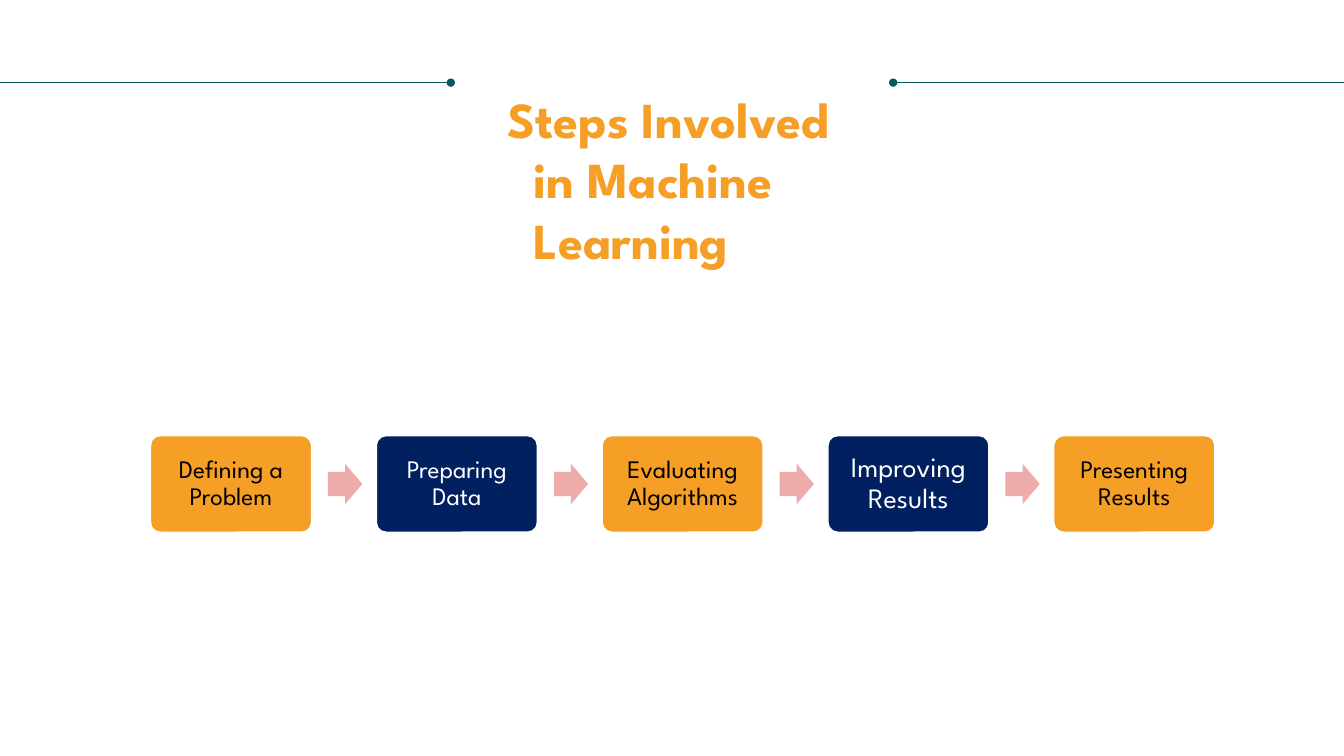
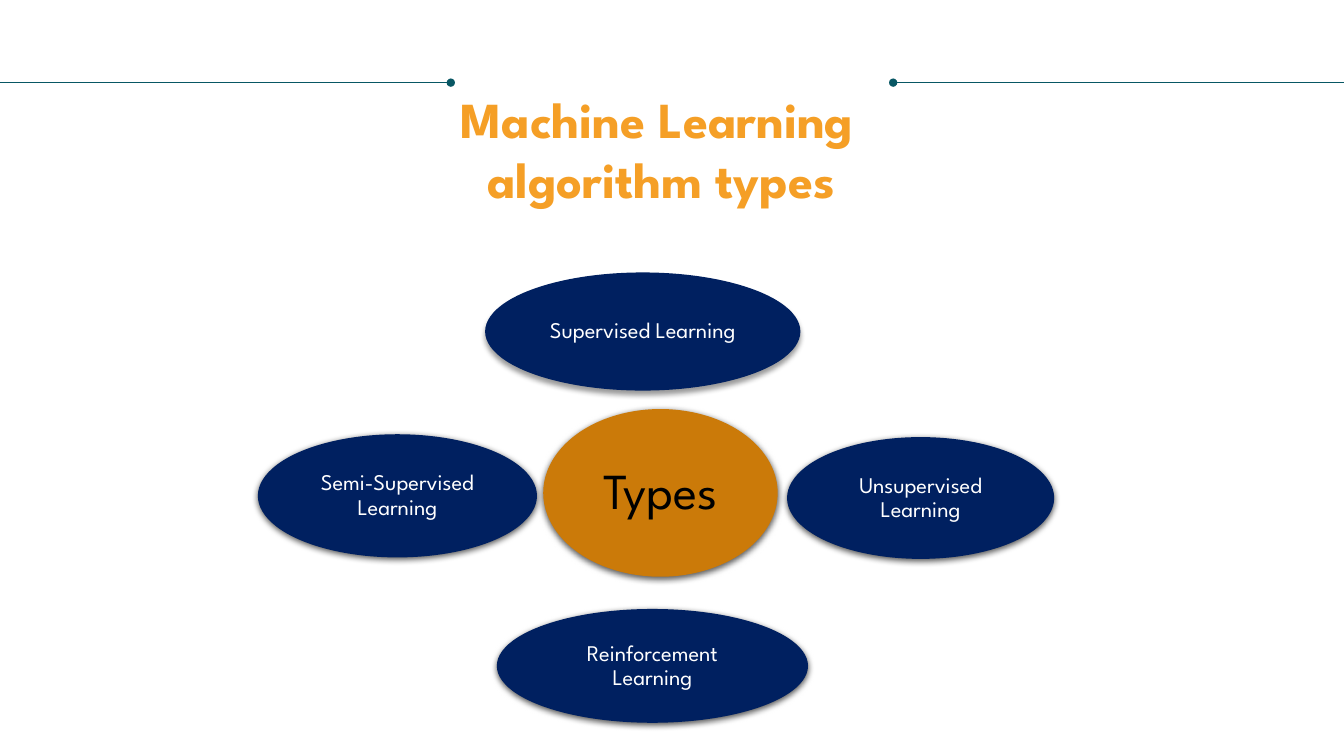
from typing import NamedTuple

from lxml import etree
from pptx import Presentation
from pptx.dml.color import RGBColor
from pptx.enum.shapes import MSO_CONNECTOR, MSO_SHAPE
from pptx.enum.text import MSO_ANCHOR, MSO_AUTO_SIZE, PP_ALIGN
from pptx.oxml.ns import qn
from pptx.util import Pt

STRAIGHT = MSO_CONNECTOR.STRAIGHT
ROUNDED, ARROW, OVAL = MSO_SHAPE.ROUNDED_RECTANGLE, MSO_SHAPE.RIGHT_ARROW, MSO_SHAPE.OVAL
TOP, MIDDLE = MSO_ANCHOR.TOP, MSO_ANCHOR.MIDDLE
LEFT, CENTER = PP_ALIGN.LEFT, PP_ALIGN.CENTER
NO_AUTOFIT = MSO_AUTO_SIZE.NONE

WHITE = RGBColor(0xFF, 0xFF, 0xFF)
BLACK = RGBColor(0x00, 0x00, 0x00)
TEAL = RGBColor(0x08, 0x57, 0x64)
ORANGE = RGBColor(0xF5, 0x9F, 0x26)
DARK_ORANGE = RGBColor(0xCB, 0x7A, 0x09)
NAVY = RGBColor(0x00, 0x20, 0x60)
PINK = RGBColor(0xEE, 0xAB, 0xAB)

FONT = "League Spartan"
PAGE_WIDTH, PAGE_HEIGHT = 960, 540
RULE_TOP = 59.04
RULE_ENDS = ((0, 322), (PAGE_WIDTH, 638))  # page edge, dotted inner end
TITLE_INDENT = 19

# Step row
STEP_LEFT, STEP_TOP, STEP_WIDTH, STEP_HEIGHT = 107.5, 311.2, 115, 69
STEP_PITCH = 161.3
ARROW_WIDTH, ARROW_HEIGHT, ARROW_GAP = 24.5, 28.8, 11.8


class Frame(NamedTuple):
    left: float
    top: float
    width: float
    height: float


class Step(NamedTuple):
    label: str
    size: float = 18


class Shadow(NamedTuple):
    opacity: int
    blur: float
    distance: float


SOFT = Shadow(63, 4.5, 1.5)
DEEP = Shadow(40, 4, 3)


class Bubble(NamedTuple):
    label: str
    frame: Frame
    fill: RGBColor = NAVY
    color: RGBColor = WHITE
    size: float = 16
    shadow: Shadow = SOFT


STEPS = (
    Step("Defining a Problem"),
    Step("Preparing Data"),
    Step("Evaluating Algorithms"),
    Step("Improving Results", 20),
    Step("Presenting Results"),
)

BUBBLES = (
    Bubble("Types", Frame(388, 292.2, 167.5, 119.8), DARK_ORANGE, BLACK, 36),
    Bubble("Supervised Learning", Frame(346.5, 194.6, 225.2, 84.4), shadow=DEEP),
    Bubble("Unsupervised Learning", Frame(562.2, 312.2, 190.8, 87)),
    Bubble("Reinforcement Learning", Frame(354.9, 435, 222.3, 81.3)),
    Bubble("Semi-Supervised Learning", Frame(184.2, 310.2, 199.4, 88)),
)


def apply(target: object, values: dict) -> None:
    for name, value in values.items():
        setattr(target, name, value)


def style_font(font, size: float, color: RGBColor, bold: bool = False) -> None:
    apply(font, {"name": FONT, "size": Pt(size), "bold": bold})
    font.color.rgb = color


def add_rule(page, start: float, end: float) -> None:
    rule = page.shapes.add_connector(STRAIGHT, Pt(start), Pt(RULE_TOP), Pt(end), Pt(RULE_TOP))
    rule.line.color.rgb = TEAL
    rule.line.width = Pt(0.5)
    properties = rule._element.spPr
    etree.SubElement(rule.line._get_or_add_ln(), qn("a:tailEnd"), type="oval")
    etree.SubElement(properties, qn("a:effectLst"))


def add_page(deck, lines: tuple[str, ...], frame: Frame):
    """Add a page with its rules and title; later title lines are indented."""
    page = deck.slides.add_slide(deck.slide_layouts[5])
    for start, end in RULE_ENDS:
        add_rule(page, start, end)
    title = page.shapes.title
    apply(title, {name: Pt(value) for name, value in frame._asdict().items()})
    text = title.text_frame
    text.text = "\n".join(lines)
    apply(text, {"word_wrap": True, "auto_size": NO_AUTOFIT, "vertical_anchor": TOP})
    for index, para in enumerate(text.paragraphs):
        para.alignment = LEFT
        if index:
            para._p.get_or_add_pPr().set("marL", str(Pt(TITLE_INDENT)))
        for span in para.runs:
            style_font(span.font, 36, ORANGE, bold=True)
    return page


def add_box(page, kind, frame: Frame, fill: RGBColor):
    box = page.shapes.add_shape(kind, *(Pt(value) for value in frame))
    box.shadow.inherit = False
    box.fill.solid()
    box.fill.fore_color.rgb = fill
    box.line.fill.background()
    return box


def add_label(box, label: str, size: float, color: RGBColor, inset: float) -> None:
    text = box.text_frame
    text.text = label
    sides = ("margin_left", "margin_top", "margin_right", "margin_bottom")
    apply(text, {"word_wrap": True, "vertical_anchor": MIDDLE, **dict.fromkeys(sides, Pt(inset))})
    para = text.paragraphs[0]
    apply(para, {"alignment": CENTER, "line_spacing": 0.9})
    style_font(para.runs[0].font, size, color)


def add_shadow(box, shadow: Shadow) -> None:
    effects = box._element.spPr.find(qn("a:effectLst"))
    outer = etree.SubElement(
        effects, qn("a:outerShdw"), blurRad=str(Pt(shadow.blur)),
        dist=str(Pt(shadow.distance)), dir="5400000", rotWithShape="0")
    color = etree.SubElement(outer, qn("a:srgbClr"), val=str(BLACK))
    etree.SubElement(color, qn("a:alpha"), val=str(shadow.opacity * 1000))


def add_steps(page) -> None:
    for index, step in enumerate(STEPS):
        left = STEP_LEFT + index * STEP_PITCH
        fill, color = (NAVY, WHITE) if index % 2 else (ORANGE, BLACK)
        box = add_box(page, ROUNDED, Frame(left, STEP_TOP, STEP_WIDTH, STEP_HEIGHT), fill)
        box.adjustments[0] = 0.1
        box.line.color.rgb = WHITE
        box.line.width = Pt(1)
        add_label(box, step.label, step.size, color, 5)
        if index < len(STEPS) - 1:
            arrow_top = STEP_TOP + (STEP_HEIGHT - ARROW_HEIGHT) / 2
            arrow_left = left + STEP_WIDTH + ARROW_GAP
            arrow = add_box(
                page, ARROW, Frame(arrow_left, arrow_top, ARROW_WIDTH, ARROW_HEIGHT), PINK)
            arrow.adjustments[0] = 0.6
            arrow.adjustments[1] = 0.5


def add_bubbles(page) -> None:
    for bubble in BUBBLES:
        box = add_box(page, OVAL, bubble.frame, bubble.fill)
        add_shadow(box, bubble.shadow)
        add_label(box, bubble.label, bubble.size, bubble.color, 3)


def main() -> None:
    deck = Presentation()
    apply(deck, {"slide_width": Pt(PAGE_WIDTH), "slide_height": Pt(PAGE_HEIGHT)})

    # Steps in a row
    add_steps(add_page(
        deck, ("Steps Involved", "in Machine", "Learning"), Frame(355, RULE_TOP, 283.5, 138.2)))

    # Types around a centre
    add_bubbles(add_page(
        deck, ("Machine Learning", "algorithm types"), Frame(321.8, RULE_TOP, 342, 94.3)))

    deck.save("out.pptx")


if __name__ == "__main__":
    main()
